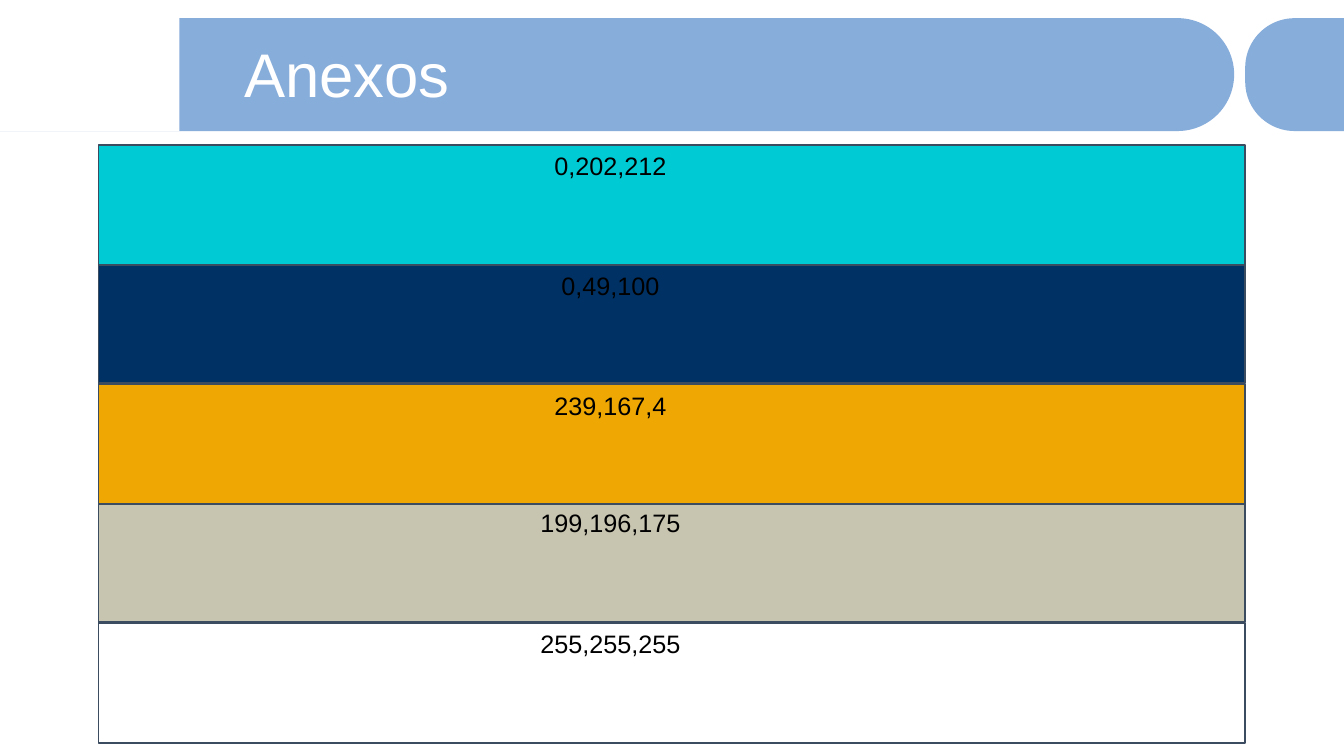
import pptx
import pptx.dml.color
import pptx.enum.shapes
import pptx.enum.text
import pptx.util

Inches = pptx.util.Inches
Pt = pptx.util.Pt
RGBColor = pptx.dml.color.RGBColor
Shapes = pptx.enum.shapes.MSO_SHAPE
Align = pptx.enum.text.PP_ALIGN
Anchor = pptx.enum.text.MSO_ANCHOR
AutoSize = pptx.enum.text.MSO_AUTO_SIZE

TITLE = "Anexos"
# RGB label, swatch top, label top
SWATCHES = [
    ("0,202,212", 1.44, 1.44),
    ("0,49,100", 2.61, 2.63),
    ("239,167,4", 3.81, 3.82),
    ("199,196,175", 4.98, 4.98),
    ("255,255,255", 6.18, 6.18),
]
# left, length, rotation that turns the rounded end outwards
HEADER_BANDS = [(0, 12.24, 90), (12.35, 0.98, 270)]

HEADER_BLUE = RGBColor(0x87, 0xAD, 0xDB)
OUTLINE = RGBColor(0x3B, 0x4C, 0x60)
WHITE = RGBColor(0xFF, 0xFF, 0xFF)
BLACK = RGBColor(0, 0, 0)

SLIDE_WIDTH, SLIDE_HEIGHT = 13.33, 7.5
HEADER_TOP, HEADER_HEIGHT = 0.18, 1.12
SWATCH_LEFT, SWATCH_WIDTH, SWATCH_HEIGHT = 0.98, 11.37, 1.19
LABEL_LEFT, LABEL_HEIGHT = 0.37, 0.4


def add_filled(slide, preset, left, top, width, height, fill, outline=None):
    shape = slide.shapes.add_shape(
        preset, Inches(left), Inches(top), Inches(width), Inches(height))
    shape.shadow.inherit = False
    shape.fill.solid()
    shape.fill.fore_color.rgb = fill
    if outline is None:
        shape.line.fill.background()
    else:
        shape.line.color.rgb = outline
        shape.line.width = Pt(1)
    return shape


def add_header_band(slide, left, length, rotation):
    """Draw an upright shape with a round top and turn it on its side."""
    offset = (length - HEADER_HEIGHT) / 2
    band = add_filled(slide, Shapes.ROUND_2_SAME_RECTANGLE, left + offset,
                      HEADER_TOP - offset, HEADER_HEIGHT, length, HEADER_BLUE)
    band.adjustments[0] = 0.5
    band.rotation = rotation


def style_text(paragraph, size, color, alignment):
    paragraph.alignment = alignment
    paragraph.font.name = "Arial"
    paragraph.font.size = Pt(size)
    paragraph.font.color.rgb = color


def place_title(slide):
    title = slide.shapes.title
    title.left, title.top = Inches(2.32), Inches(0.37)
    title.width, title.height = Inches(10.69), Inches(0.79)
    frame = title.text_frame
    frame.text = TITLE
    frame.auto_size = AutoSize.NONE
    frame.vertical_anchor = Anchor.MIDDLE
    paragraph = frame.paragraphs[0]
    paragraph.line_spacing = 0.9
    style_text(paragraph, 44, WHITE, Align.LEFT)
    # Bring the title in front of the header bands
    slide.shapes._spTree.append(title._element)


def add_label(slide, text, top):
    label = slide.shapes.add_textbox(Inches(LABEL_LEFT), Inches(top),
                                     Inches(SWATCH_WIDTH), Inches(LABEL_HEIGHT))
    frame = label.text_frame
    frame.word_wrap = True
    frame.auto_size = AutoSize.SHAPE_TO_FIT_TEXT
    frame.text = text
    style_text(frame.paragraphs[0], 18, BLACK, Align.CENTER)


def main():
    presentation = pptx.Presentation()
    presentation.slide_width = Inches(SLIDE_WIDTH)
    presentation.slide_height = Inches(SLIDE_HEIGHT)
    slide = presentation.slides.add_slide(presentation.slide_layouts[5])

    for left, length, rotation in HEADER_BANDS:
        add_header_band(slide, left, length, rotation)
    # Plain emblem block
    add_filled(slide, Shapes.RECTANGLE, 0, HEADER_TOP, 1.78, HEADER_HEIGHT, WHITE)
    place_title(slide)

    # Lowest swatch first, so that each one overlaps the one below it
    for text, top, _ in reversed(SWATCHES):
        color = RGBColor(*map(int, text.split(",")))
        add_filled(slide, Shapes.RECTANGLE, SWATCH_LEFT, top,
                   SWATCH_WIDTH, SWATCH_HEIGHT, color, OUTLINE)
    for text, _, label_top in SWATCHES:
        add_label(slide, text, label_top)

    presentation.save("out.pptx")


if __name__ == "__main__":
    main()
